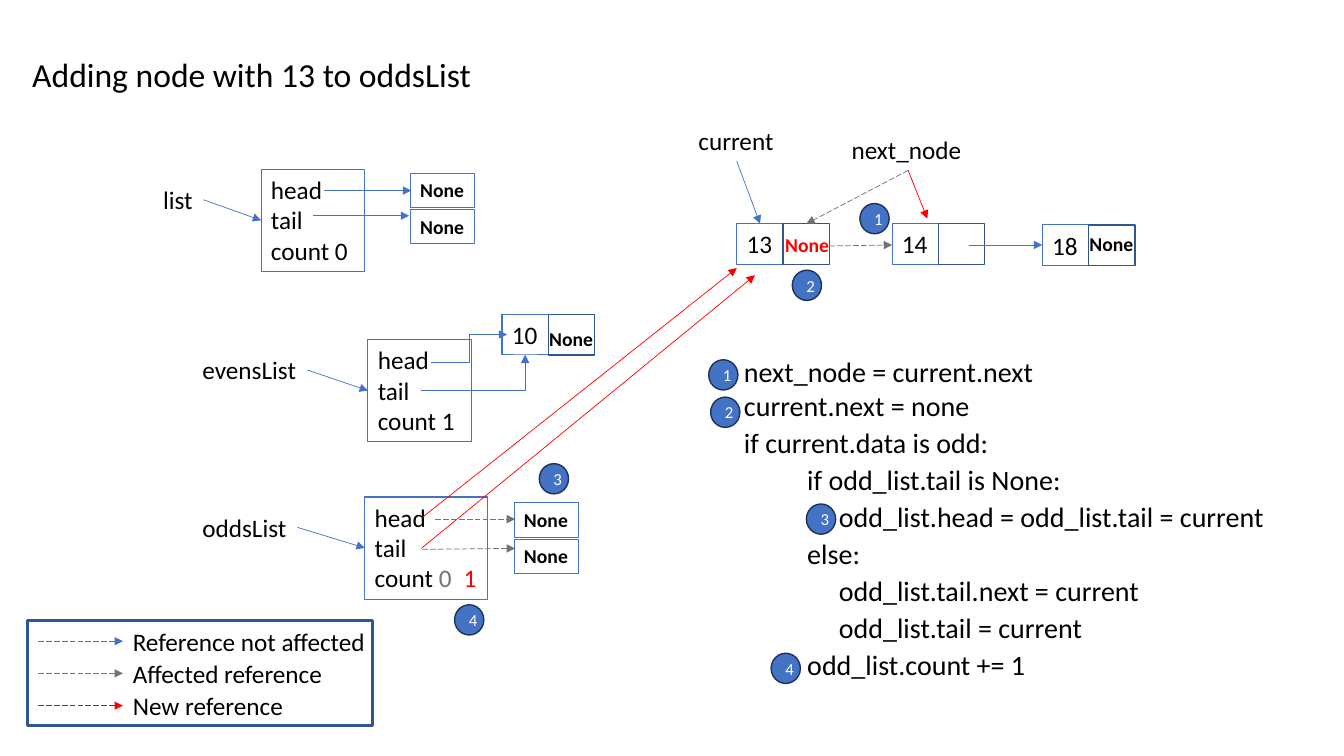
from dataclasses import dataclass

from lxml.etree import SubElement
from pptx import Presentation
from pptx.dml.color import RGBColor
from pptx.enum.dml import MSO_LINE
from pptx.enum.shapes import MSO_CONNECTOR, MSO_SHAPE
from pptx.enum.text import MSO_ANCHOR, MSO_AUTO_SIZE, PP_ALIGN
from pptx.oxml.ns import qn
from pptx.util import Pt

BLUE, NAVY, GRAY, RED = "4472C4", "325491", "767171", "FF0000"
BLACK, WHITE = "000000", "FFFFFF"


@dataclass
class Node:
    value: str
    left: float
    top: float


@dataclass
class Record:
    """A list header: its label, then the box with head, tail and count."""
    name: str
    left: float
    top: float
    width: float
    box: float
    span: float
    count: list


@dataclass
class Arrow:
    start: tuple
    end: tuple
    color: str = BLUE
    dash: bool = False
    bend: str = ""


@dataclass
class Label:
    text: str
    left: float
    top: float
    width: float
    size: float = 18
    color: str = BLACK
    bold: bool = False


NODES = [Node("10", 358.6, 224.6), Node("13", 526.3, 159.8),
         Node("14", 637.2, 159.8), Node("18", 744.5, 160.6)]
RECORDS = [
    Record("list", 109.4, 128.2, 36, 186.5, 74.2, [("count 0", BLACK)]),
    Record("evensList", 137.5, 249.8, 82, 262.8, 74.2, [("count 1", BLACK)]),
    Record("oddsList", 137.5, 362.2, 75, 260.6, 87.8,
           [("count ", BLACK), ("0\t", GRAY), ("1", RED)]),
]
EMPTY = [(293, 123.8), (367.2, 359.3)]
LABELS = [
    Label("current", 491.8, 85.7, 69), Label("next_node", 601.2, 92.2, 93.6),
    Label("None", 385.2, 229.7, 46, 14, BLACK, True),
    Label("None", 771.1, 162, 50.4, 14, BLACK, True),
    Label("None", 553.7, 162.7, 49.7, 14, RED, True),
]
ARROWS = [
    Arrow((691.9, 175), (744.5, 175)),
    Arrow((301, 391.7), (539.3, 196.6), RED),
    Arrow((301, 370.1), (526.3, 191.5), RED),
    Arrow((526.3, 115.2), (542.9, 159.8)),
    Arrow((308.2, 259.2), (362.2, 239), bend="bentConnector3"),
    Arrow((301, 278.6), (375.1, 253.4), bend="bentConnector2"),
    Arrow((231.1, 136.1), (293.8, 136.1)),
    Arrow((223.9, 154.1), (292.3, 154.1)),
    Arrow((648.7, 121.7), (662.4, 156.2), RED),
    Arrow((301.7, 392.4), (367.9, 391.7), GRAY, True),
    Arrow((311, 370.8), (367.9, 370.8), GRAY, True),
    Arrow((648.7, 121.7), (576, 159.8), GRAY, True),
    Arrow((592.6, 175.7), (637.2, 175), GRAY, True),
]
LEGEND = [("Reference not affected", 183, BLUE),
          ("Affected reference", 152, GRAY), ("New reference", 123, RED)]
STEPS = [("1", 614.2, 145.4), ("2", 565.9, 193), ("3", 385.2, 331.2),
         ("1", 506.2, 257), ("2", 507.6, 283.7), ("3", 576, 360),
         ("4", 550.8, 466.6), ("4", 324.7, 432)]
CODE = [
    "next_node = current.next",
    "current.next = none",
    "if current.data is odd:",
    "          if odd_list.tail is None:",
    "               odd_list.head = odd_list.tail = current",
    "          else:",
    "               odd_list.tail.next = current",
    "               odd_list.tail = current",
    "          odd_list.count += 1",
]


def hue(target, color: str) -> None:
    target.rgb = RGBColor.from_string(color)


def write(shape, lines: list, *, size: float = 18, color: str = BLACK,
          bold: bool = False, align=PP_ALIGN.LEFT, anchor=MSO_ANCHOR.TOP,
          wrap: bool = False, fit=MSO_AUTO_SIZE.SHAPE_TO_FIT_TEXT,
          tab: float = 0) -> None:
    """Fill a shape; a line is a string or a list of (text, colour) runs."""
    frame = shape.text_frame
    frame.word_wrap, frame.auto_size = wrap, fit
    frame.vertical_anchor = anchor
    for i, line in enumerate(lines):
        para = frame.add_paragraph() if i else frame.paragraphs[0]
        para.alignment = align
        para.space_before = Pt(0)
        runs = [(line, color)] if isinstance(line, str) else line
        if tab and len(runs) > 1:
            stops = SubElement(para._p.get_or_add_pPr(), qn("a:tabLst"))
            SubElement(stops, qn("a:tab"), pos=str(Pt(tab)), algn="l")
        for text, tint in runs:
            run = para.add_run()
            run.text = text
            run.font.name, run.font.size, run.font.bold = "Calibri", Pt(size), bold
            hue(run.font.color, tint)


def place(shape, left: float, top: float, width: float, height: float) -> None:
    shape.left, shape.top = Pt(left), Pt(top)
    shape.width, shape.height = Pt(width), Pt(height)


def draw(slide, left: float, top: float, width: float, height: float, *,
         kind=MSO_SHAPE.RECTANGLE, line: str = BLUE, weight: float = 0.75,
         fill: str = ""):
    shape = slide.shapes.add_shape(kind, Pt(left), Pt(top), Pt(width), Pt(height))
    shape.shadow.inherit = False
    if fill:
        shape.fill.solid()
        hue(shape.fill.fore_color, fill)
    else:
        shape.fill.background()
    hue(shape.line.color, line)
    shape.line.width = Pt(weight)
    return shape


def link(slide, arrow: Arrow) -> None:
    kind = MSO_CONNECTOR.ELBOW if arrow.bend else MSO_CONNECTOR.STRAIGHT
    wire = slide.shapes.add_connector(kind, *map(Pt, arrow.start + arrow.end))
    hue(wire.line.color, arrow.color)
    wire.line.width = Pt(0.5)
    if arrow.dash:
        wire.line.dash_style = MSO_LINE.LONG_DASH
    props = wire._element.spPr
    if arrow.bend:
        props.find(qn("a:prstGeom")).set("prst", arrow.bend)
    SubElement(props.find(qn("a:ln")), qn("a:tailEnd"), type="triangle")
    SubElement(props, qn("a:effectLst"))


def tag(slide, label: Label) -> None:
    box = slide.shapes.add_textbox(Pt(label.left), Pt(label.top),
                                   Pt(label.width), Pt(29 if label.size > 14 else 24.5))
    write(box, [label.text], size=label.size, color=label.color, bold=label.bold)


def head(slide) -> None:
    """Set the title and the code list in their placeholders."""
    title, body = slide.placeholders
    place(title, 15.8, 34.6, 330.5, 36)
    write(title, ["Adding node with 13 to oddsList"], size=24)
    place(body, 524.2, 249.8, 396.7, 241.2)
    write(body, CODE, size=20, wrap=True, fit=MSO_AUTO_SIZE.NONE)
    for i, para in enumerate(body.text_frame.paragraphs):
        para.line_spacing = 1.1 if i > 1 else 1.0
        props = para._p.get_or_add_pPr()
        props.set("marL", "0")
        props.set("indent", "0")
        SubElement(props, qn("a:buNone"))


def main() -> None:
    deck = Presentation()
    deck.slide_width, deck.slide_height = Pt(960), Pt(540)
    slide = deck.slides.add_slide(deck.slide_layouts[1])
    head(slide)
    for node in NODES:
        write(draw(slide, node.left, node.top, 33.1, 29), [node.value])
        draw(slide, node.left + 33.1, node.top, 33.1, 29, line=NAVY, weight=1)
    for rec in RECORDS:
        tag(slide, Label(rec.name, rec.left, rec.top, rec.width))
        box = draw(slide, rec.box, rec.top - 7.2, rec.span, 73)
        write(box, ["head", "tail", rec.count], tab=63.5)
        link(slide, Arrow((rec.left + rec.width, rec.top + 14.5),
                          (rec.box, rec.top + 29.2)))
    for left, top in EMPTY:
        for row in range(2):
            box = draw(slide, left, top + 26 * row, 46, 24.5)
            write(box, ["None"], size=14, bold=True, wrap=True)
    for label in LABELS:
        tag(slide, label)
    for arrow in ARROWS:
        link(slide, arrow)
    for row, (text, width, color) in enumerate(LEGEND):
        top = 443.5 + 23 * row
        tag(slide, Label(text, 87.8, top, width))
        link(slide, Arrow((27.4, top + 14.5), (87.8, top + 14.5), color, True))
    draw(slide, 19.4, 443.5, 247, 74.9, line="2F5597", weight=2.25)
    for digit, left, top in STEPS:
        disc = draw(slide, left, top, 20.9, 21.6, kind=MSO_SHAPE.OVAL,
                    line="1E3256", weight=1, fill=BLUE)
        write(disc, [digit], size=12, color=WHITE, align=PP_ALIGN.CENTER,
              anchor=MSO_ANCHOR.MIDDLE, wrap=True, fit=MSO_AUTO_SIZE.NONE)
    deck.save("out.pptx")


if __name__ == "__main__":
    main()
